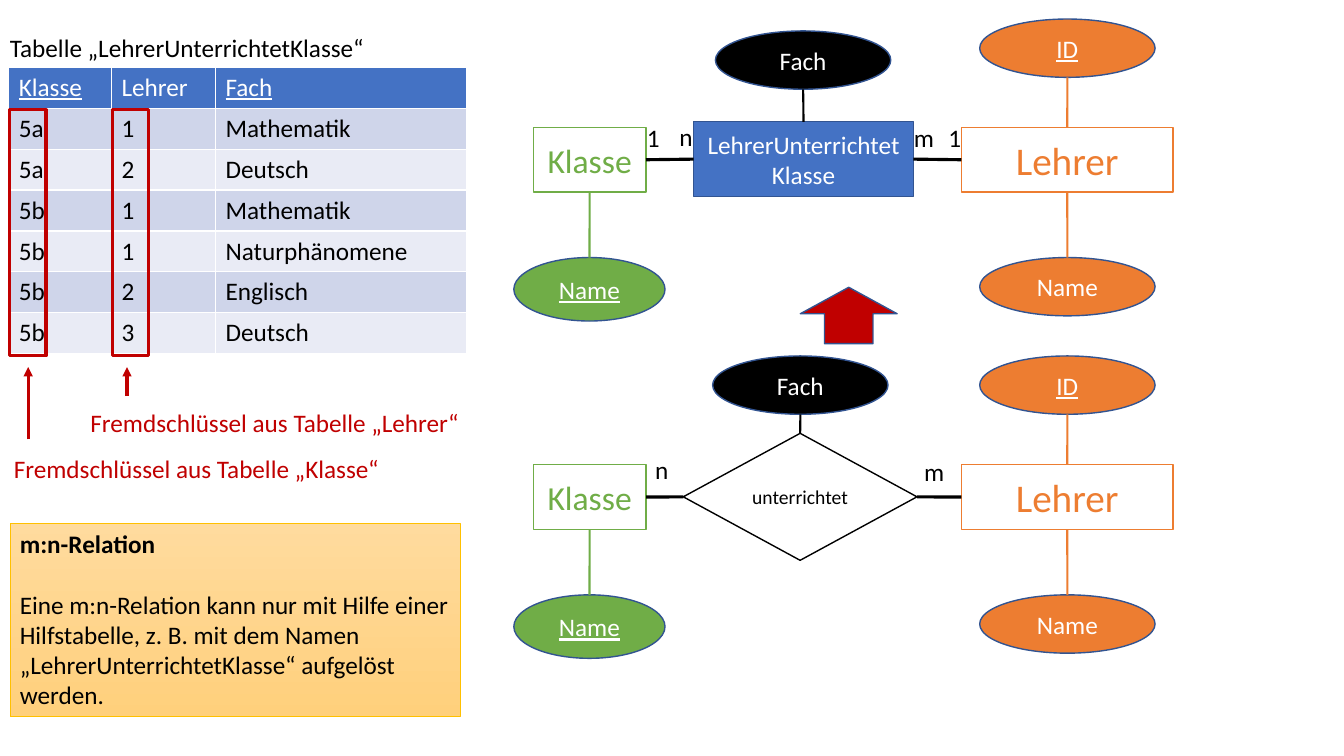
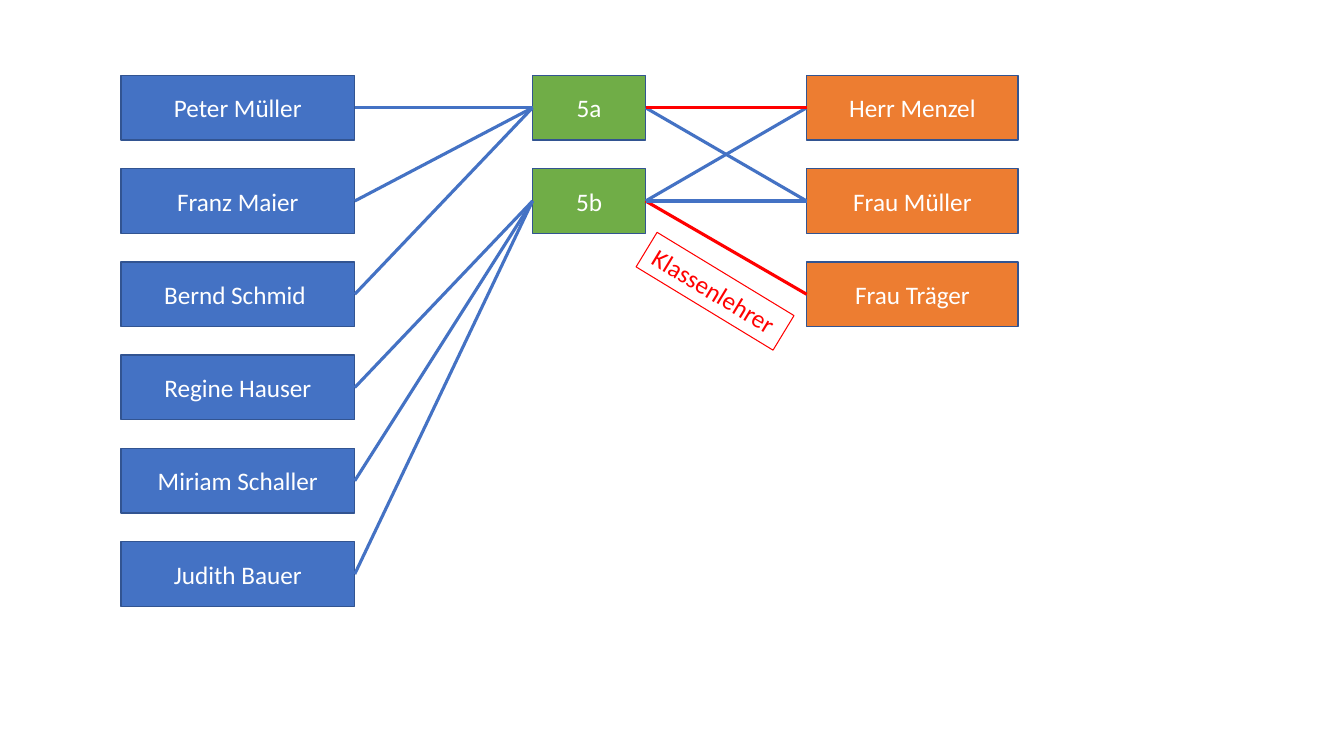
from dataclasses import dataclass
from typing import Optional

from lxml.etree import SubElement
from pptx import Presentation
from pptx.dml.color import RGBColor
from pptx.enum.shapes import MSO_CONNECTOR, MSO_SHAPE
from pptx.enum.text import MSO_ANCHOR, MSO_AUTO_SIZE, PP_ALIGN
from pptx.oxml.ns import qn
from pptx.util import Cm, Pt

FONT = "Calibri"
COLORS = {
    "black": "000000", "white": "FFFFFF", "blue": "4472C4", "edge": "325491",
    "green": "70AD47", "orange": "ED7D31", "dark_red": "C00000", "red": "FF0000",
    "gold": "FFC000", "sand_top": "FFDB9E", "sand_bottom": "FFD07C",
    "band_dark": "CFD5EA", "band_light": "E9EBF5",
}
TOP, LEFT, BOTTOM, RIGHT = range(4)


@dataclass
class Box:
    """A preset shape with centred text; lengths in centimetres."""
    text: str
    x: float
    y: float
    w: float
    h: float
    fill: Optional[str] = None
    line: str = "edge"
    width: float = 1
    geom: MSO_SHAPE = MSO_SHAPE.RECTANGLE
    color: str = "white"
    size: int = 18
    underline: bool = False


def rgb(name: str) -> RGBColor:
    return RGBColor.from_string(COLORS[name])


def write(p, text: str, *, size=18, color="black", bold=False, underline=False, align=None):
    """Put one formatted run into a paragraph."""
    p.alignment = align
    r = p.add_run()
    r.text = text
    f = r.font
    f.name, f.size, f.bold, f.underline = FONT, Pt(size), bold, underline
    f.color.rgb = rgb(color)


def add_box(s, b: Box):
    sp = s.shapes.add_shape(b.geom, Cm(b.x), Cm(b.y), Cm(b.w), Cm(b.h))
    sp.shadow.inherit = False
    if b.fill:
        sp.fill.solid()
        sp.fill.fore_color.rgb = rgb(b.fill)
    else:
        sp.fill.background()
    sp.line.color.rgb = rgb(b.line)
    sp.line.width = Pt(b.width)
    if b.text:
        tf = sp.text_frame
        tf.word_wrap = True
        tf.vertical_anchor = MSO_ANCHOR.MIDDLE
        write(tf.paragraphs[0], b.text, size=b.size, color=b.color,
              underline=b.underline, align=PP_ALIGN.CENTER)
    return sp


def add_label(s, text: str, x: float, y: float, w: float, *, wrap=False, **fmt):
    sp = s.shapes.add_textbox(Cm(x), Cm(y), Cm(w), Cm(1.02))
    tf = sp.text_frame
    tf.word_wrap = wrap
    tf.auto_size = MSO_AUTO_SIZE.SHAPE_TO_FIT_TEXT
    write(tf.paragraphs[0], text, **fmt)
    return sp


def add_line(s, start, end, color: str, width: float, arrow=False):
    c = s.shapes.add_connector(MSO_CONNECTOR.STRAIGHT, *start, *end)
    c.line.color.rgb = rgb(color)
    c.line.width = Pt(width)
    sp_pr = c._element.spPr
    if arrow:
        SubElement(sp_pr.find(qn("a:ln")), qn("a:tailEnd"), type="triangle")
    SubElement(sp_pr, qn("a:effectLst"))
    return c


def side_point(sp, side: int):
    mid_x, mid_y = sp.left + sp.width // 2, sp.top + sp.height // 2
    return [(mid_x, sp.top), (sp.left, mid_y),
            (mid_x, sp.top + sp.height), (sp.left + sp.width, mid_y)][side]


def link(s, a, a_side: int, b, b_side: int, color: str, width: float):
    """Draw a line between two sides; four-sided shapes are joined to it."""
    c = add_line(s, side_point(a, a_side), side_point(b, b_side), color, width)
    if a.auto_shape_type != MSO_SHAPE.OVAL:
        c.begin_connect(a, a_side)
    if b.auto_shape_type != MSO_SHAPE.OVAL:
        c.end_connect(b, b_side)


def oval(text: str, x: float, y: float, fill: str, w=4.42, h=1.47, underline=False) -> Box:
    return Box(text, x, y, w, h, fill, geom=MSO_SHAPE.OVAL, underline=underline)


def add_er_diagram(s, top: float, id_top: float, fach: Box, relation: Box):
    """Class and teacher entities with attributes, joined by a relation."""
    klasse = add_box(s, Box("Klasse", 13.44, top, 2.84, 1.63, "white", "green",
                            color="green", size=24))
    lehrer = add_box(s, Box("Lehrer", 24.23, top, 5.33, 1.63, "white", "orange",
                            color="orange", size=28))
    rel = add_box(s, relation)
    klasse_name = add_box(s, oval("Name", 12.95, top + 3.28, "green", 3.81, 1.6, True))
    lehrer_name = add_box(s, oval("Name", 24.69, top + 3.28, "orange"))
    lehrer_id = add_box(s, oval("ID", 24.69, id_top, "orange", underline=True))
    link(s, klasse, RIGHT, rel, LEFT, "black", 2.25)
    link(s, rel, RIGHT, lehrer, LEFT, "black", 2.25)
    link(s, add_box(s, fach), BOTTOM, rel, TOP, "black", 1.5)
    link(s, klasse_name, TOP, klasse, BOTTOM, "green", 1.5)
    link(s, lehrer, BOTTOM, lehrer_name, TOP, "orange", 1.5)
    link(s, lehrer_id, BOTTOM, lehrer, TOP, "orange", 1.5)


def add_key_table(s):
    rows = [("Klasse", "Lehrer", "Fach"),
            ("5a", "1", "Mathematik"), ("5a", "2", "Deutsch"),
            ("5b", "1", "Mathematik"), ("5b", "1", "Naturphänomene"),
            ("5b", "2", "Englisch"), ("5b", "3", "Deutsch")]
    widths = (2.59, 2.62, 6.32)
    row_h = 1.03
    table = s.shapes.add_table(len(rows), len(widths), Cm(0.22), Cm(1.7),
                               Cm(sum(widths)), Cm(row_h * len(rows))).table
    for col, w in zip(table.columns, widths):
        col.width = Cm(w)
    for i, row in enumerate(rows):
        table.rows[i].height = Cm(row_h)
        fill = "blue" if i == 0 else "band_dark" if i % 2 else "band_light"
        for j, text in enumerate(row):
            cell = table.cell(i, j)
            cell.fill.solid()
            cell.fill.fore_color.rgb = rgb(fill)
            write(cell.text_frame.paragraphs[0], text,
                  color="black" if i else "white", underline=i == 0 and j != 1)


def add_rule_box(s):
    sp = add_box(s, Box("", 0.25, 13.18, 11.35, 4.88, line="gold", width=0.5))
    sp.fill.gradient()
    sp.fill.gradient_angle = 270
    for stop, name in zip(sp.fill.gradient_stops, ("sand_top", "sand_bottom")):
        stop.color.rgb = rgb(name)
    tf = sp.text_frame
    tf.word_wrap = True
    tf.vertical_anchor = MSO_ANCHOR.TOP
    write(tf.paragraphs[0], "m:n-Relation", bold=True, align=PP_ALIGN.LEFT)
    p = tf.add_paragraph()
    p.space_before = Pt(22)
    write(p, "Eine m:n-Relation kann nur mit Hilfe einer Hilfstabelle, z. B. mit dem "
             "Namen „LehrerUnterrichtetKlasse“ aufgelöst werden.", align=PP_ALIGN.LEFT)


def build_relation_slide(s):
    # Relation before and after it is resolved
    add_er_diagram(s, 11.71, 8.97, oval("Fach", 17.96, 8.97, "black"),
                   Box("unterrichtet", 17.22, 10.92, 5.89, 3.2, "white", "black",
                       geom=MSO_SHAPE.DIAMOND, color="black", size=14))
    add_er_diagram(s, 3.21, 0.48, oval("Fach", 18.03, 0.78, "black"),
                   Box("LehrerUnterrichtetKlasse", 17.48, 3.07, 5.54, 1.88, "blue"))
    up = add_box(s, Box("", 20.17, 7.24, 2.44, 1.42, "dark_red",
                        geom=MSO_SHAPE.UP_ARROW))
    up.adjustments[0], up.adjustments[1] = 0.5, 0.47

    # Cardinalities
    for text, x, y, w in (("n", 16.26, 11.33, 0.86), ("m", 23.04, 11.38, 1.02),
                          ("n", 16.87, 2.92, 0.86), ("m", 22.78, 2.95, 1.02)):
        add_label(s, text, x, y, w)
    for x in (16.05, 23.65):
        add_label(s, "1", x, 2.95, 0.79, wrap=True)

    # Table with its foreign keys
    add_label(s, "Tabelle „LehrerUnterrichtetKlasse“", 0, 0.69, 9.53)
    add_key_table(s)
    for x, arrow_x, arrow_start in ((0.25, 0.71, 11.07), (2.84, 3.2, 9.98)):
        add_box(s, Box("", x, 2.77, 0.91, 6.2, line="dark_red", width=2.25))
        add_line(s, (Cm(arrow_x), Cm(arrow_start)), (Cm(arrow_x), Cm(9.25)),
                 "dark_red", 2.25, arrow=True)
    add_label(s, "Fremdschlüssel aus Tabelle „Klasse“", 0.1, 11.3, 9.8, color="dark_red")
    add_label(s, "Fremdschlüssel aus Tabelle „Lehrer“", 2.03, 10.13, 9.93, wrap=True,
              color="dark_red")
    add_rule_box(s)


def build_example_slide(s):
    def column(names, x: float, w: float, fill: str):
        return [add_box(s, Box(name, x, 1.9 + 2.35 * i, w, 1.63, fill))
                for i, name in enumerate(names)]

    pupils = column(("Peter Müller", "Franz Maier", "Bernd Schmid ", "Regine Hauser",
                     "Miriam Schaller", "Judith Bauer"), 3.05, 5.89, "blue")
    classes = column(("5a", "5b"), 13.42, 2.85, "green")
    teachers = column(("Herr Menzel", "Frau Müller", "Frau Träger"), 20.33, 5.33, "orange")

    # The first three pupils are in 5a, the others in 5b
    for i, pupil in enumerate(pupils):
        link(s, pupil, RIGHT, classes[i // 3], LEFT, "blue", 2.25)
    # Red lines mark the class teachers
    for k, t, color in ((0, 1, "blue"), (1, 0, "blue"), (0, 0, "red"),
                        (1, 2, "red"), (1, 1, "blue")):
        link(s, classes[k], RIGHT, teachers[t], LEFT, color, 2.25)

    tag = add_label(s, "Klassenlehrer", 16, 6.83, 4.04, wrap=True, color="red")
    tag.line.color.rgb = rgb("red")
    tag.line.width = Pt(0.75)
    tag.rotation = 31.3


def main():
    prs = Presentation()
    prs.slide_width, prs.slide_height = Cm(33.87), Cm(19.05)
    for build in (build_relation_slide, build_example_slide):
        build(prs.slides.add_slide(prs.slide_layouts[6]))
    prs.save("out.pptx")


if __name__ == "__main__":
    main()
